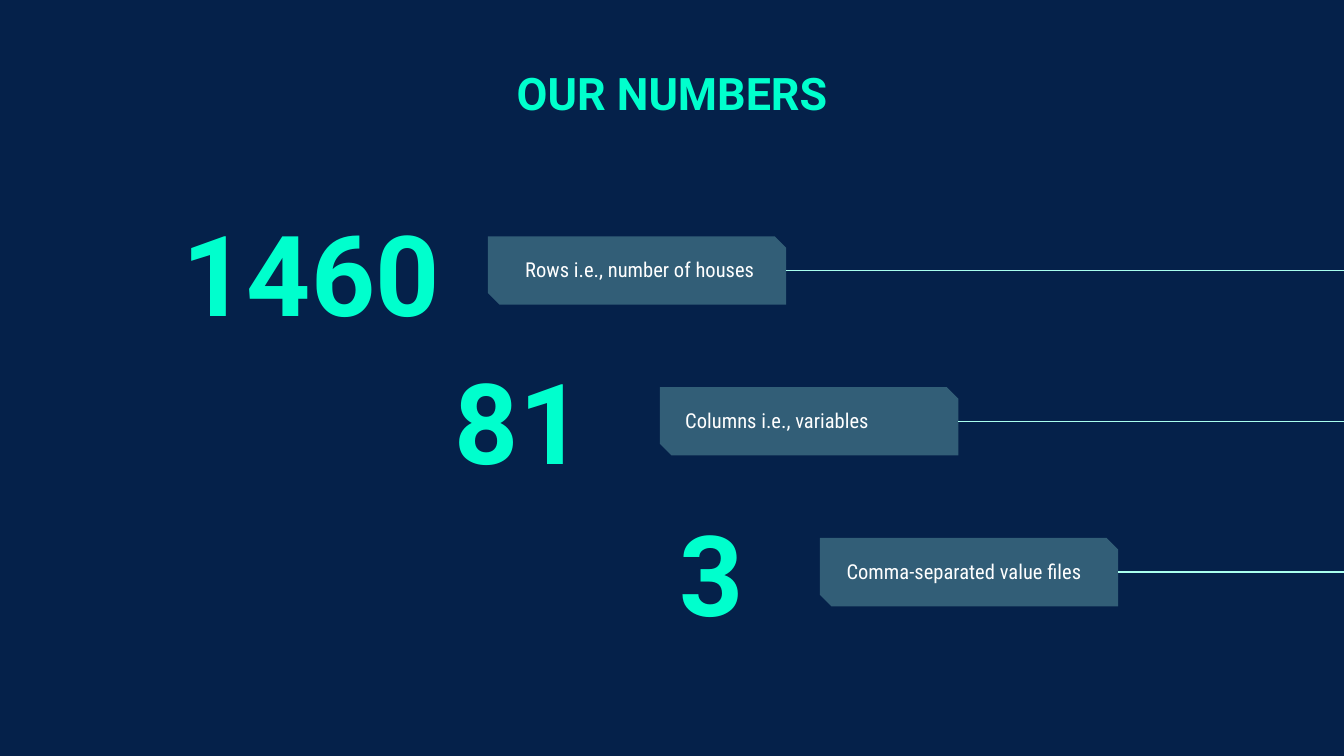
from dataclasses import dataclass

from lxml import etree
from pptx import Presentation
from pptx import util as u
from pptx.dml.color import RGBColor
from pptx.enum import shapes, text
from pptx.oxml.ns import qn


@dataclass(frozen=True)
class Theme:
    back: str = "05214A"
    mint: str = "00FFCD"
    pale: str = "AAFFEE"
    white: str = "FFFFFF"
    alpha: int = 28
    head: str = "Roboto"
    body: str = "Roboto Condensed"
    title: int = 24
    big: int = 60
    small: int = 11
    rule: float = 0.75


@dataclass(frozen=True)
class Box:
    """Left, top, width and height in percent of the slide."""
    x: float
    y: float
    w: float
    h: float


@dataclass(frozen=True)
class Stat:
    num: str
    spot: Box
    plate: float
    label: str
    left: float
    wide: float
    anchor: text.MSO_ANCHOR


THEME = Theme()
TOP, MID = text.MSO_ANCHOR.TOP, text.MSO_ANCHOR.MIDDLE
WIDE = u.Inches(10)
HIGH = WIDE * 9 // 16
FIRST, STEP = 31.25, 19.95
PLATE_W, PLATE_H = 22.2, 9.05
NUM_H = 14.76
STATS = (
    Stat("1460", Box(11.9, 28.62, 21.8, NUM_H), 36.3,
         "Rows i.e., number of houses", 38.1, 35.7, MID),
    Stat("81", Box(25.1, 48.18, 19.3, NUM_H), 49.1,
         "Columns i.e., variables", 50, 35.7, TOP),
    Stat("3", Box(36.7, 68.27, 19.6, NUM_H), 61,
         "Comma-separated value files", 62, 22.2, TOP),
)


def col(share: float) -> int:
    return round(WIDE * share / 100)


def row(share: float) -> int:
    return round(HIGH * share / 100)


def place(box: Box) -> tuple[int, int, int, int]:
    return col(box.x), row(box.y), col(box.w), row(box.h)


def write(slide, words: str, box: Box, align, anchor, **look) -> None:
    frame = slide.shapes.add_textbox(*place(box)).text_frame
    pad = u.Inches(0.1)
    form = {
        "word_wrap": True, "vertical_anchor": anchor,
        "margin_left": pad, "margin_right": pad,
        "margin_top": pad, "margin_bottom": pad,
    }
    for key, val in form.items():
        setattr(frame, key, val)
    par = frame.paragraphs[0]
    par.alignment = align
    run = par.add_run()
    run.text = words
    tint = look.pop("color")
    for key, val in look.items():
        setattr(run.font, key, val)
    run.font.color.rgb = RGBColor.from_string(tint)


def rule(slide, left: float, y: float) -> None:
    """Draw a line from the plate to the right edge of the slide."""
    line = slide.shapes.add_connector(
        shapes.MSO_CONNECTOR.STRAIGHT, col(left), row(y), WIDE, row(y))
    line.line.color.rgb = RGBColor.from_string(THEME.pale)
    line.line.width = u.Pt(THEME.rule)
    etree.SubElement(line._element.spPr, qn("a:effectLst"))


def plate(slide, box: Box) -> None:
    shape = slide.shapes.add_shape(
        shapes.MSO_SHAPE.SNIP_2_DIAG_RECTANGLE, *place(box))
    shape.shadow.inherit = False
    shape.adjustments[0], shape.adjustments[1] = 0, 0.17
    shape.fill.solid()
    shape.fill.fore_color.rgb = RGBColor.from_string(THEME.pale)
    shape.line.fill.background()
    tint = shape._element.spPr.find(qn("a:solidFill"))[0]
    etree.SubElement(tint, qn("a:alpha"), val=str(THEME.alpha * 1000))


def draw(slide, stat: Stat, top: float) -> None:
    """Draw one number with its plate, label and line."""
    rule(slide, stat.plate + PLATE_W, top + PLATE_H / 2)
    write(slide, stat.num, stat.spot, text.PP_ALIGN.RIGHT, MID,
          name=THEME.head, size=u.Pt(THEME.big), bold=True, color=THEME.mint)
    plate(slide, Box(stat.plate, top, PLATE_W, PLATE_H))
    write(slide, stat.label, Box(stat.left, top + 1.1, stat.wide, 6.6),
          text.PP_ALIGN.LEFT, stat.anchor, name=THEME.body,
          size=u.Pt(THEME.small), color=THEME.white)


def main() -> None:
    deck = Presentation()
    deck.slide_width, deck.slide_height = WIDE, HIGH
    slide = deck.slides.add_slide(deck.slide_layouts[6])
    fill = slide.background.fill
    fill.solid()
    fill.fore_color.rgb = RGBColor.from_string(THEME.back)
    write(slide, "OUR NUMBERS", Box(21.5, 6.93, 57, 18.31),
          text.PP_ALIGN.CENTER, TOP, name=THEME.head,
          size=u.Pt(THEME.title), bold=True, color=THEME.mint)
    for i, stat in enumerate(STATS):
        draw(slide, stat, FIRST + i * STEP)
    deck.save("out.pptx")


if __name__ == "__main__":
    main()
